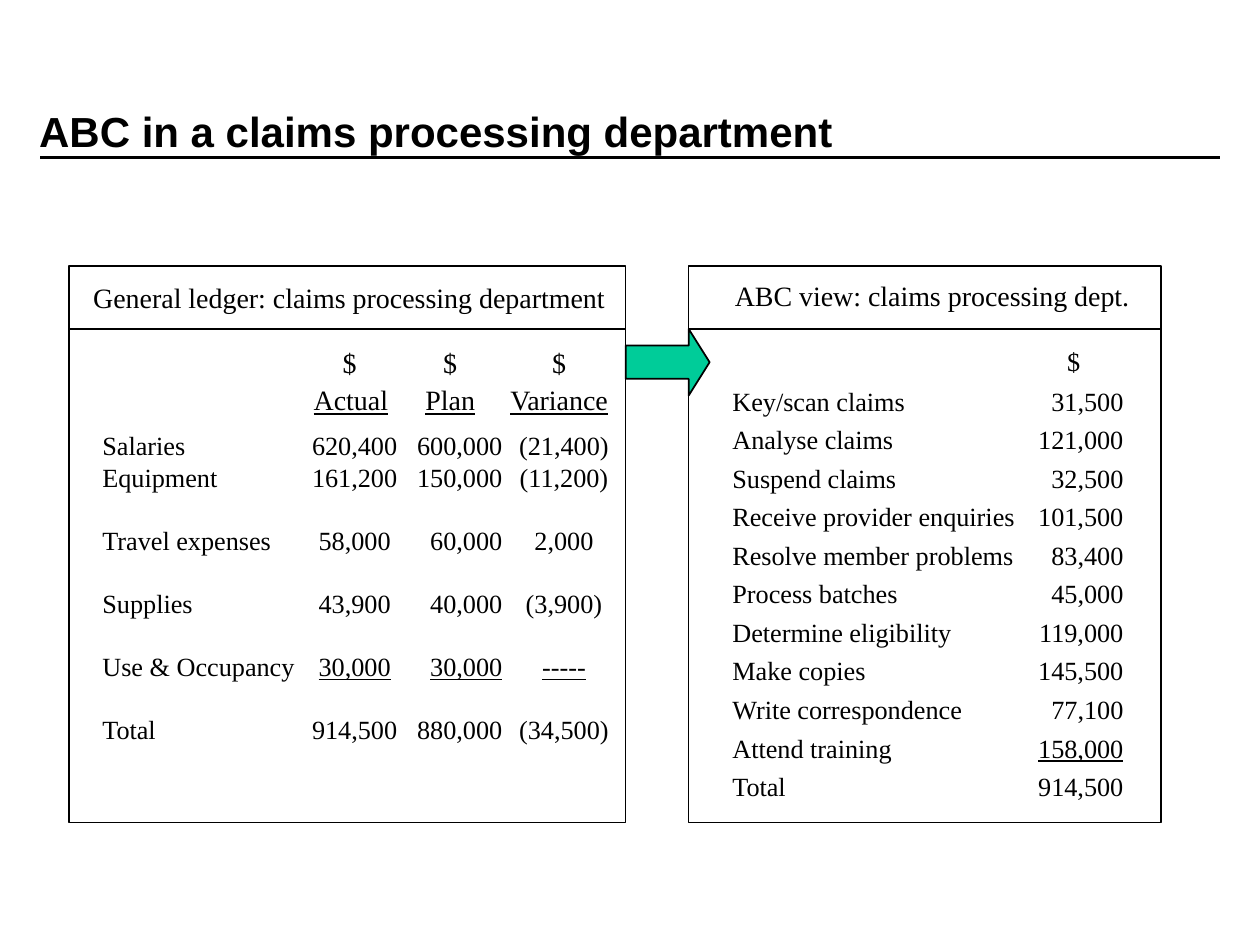
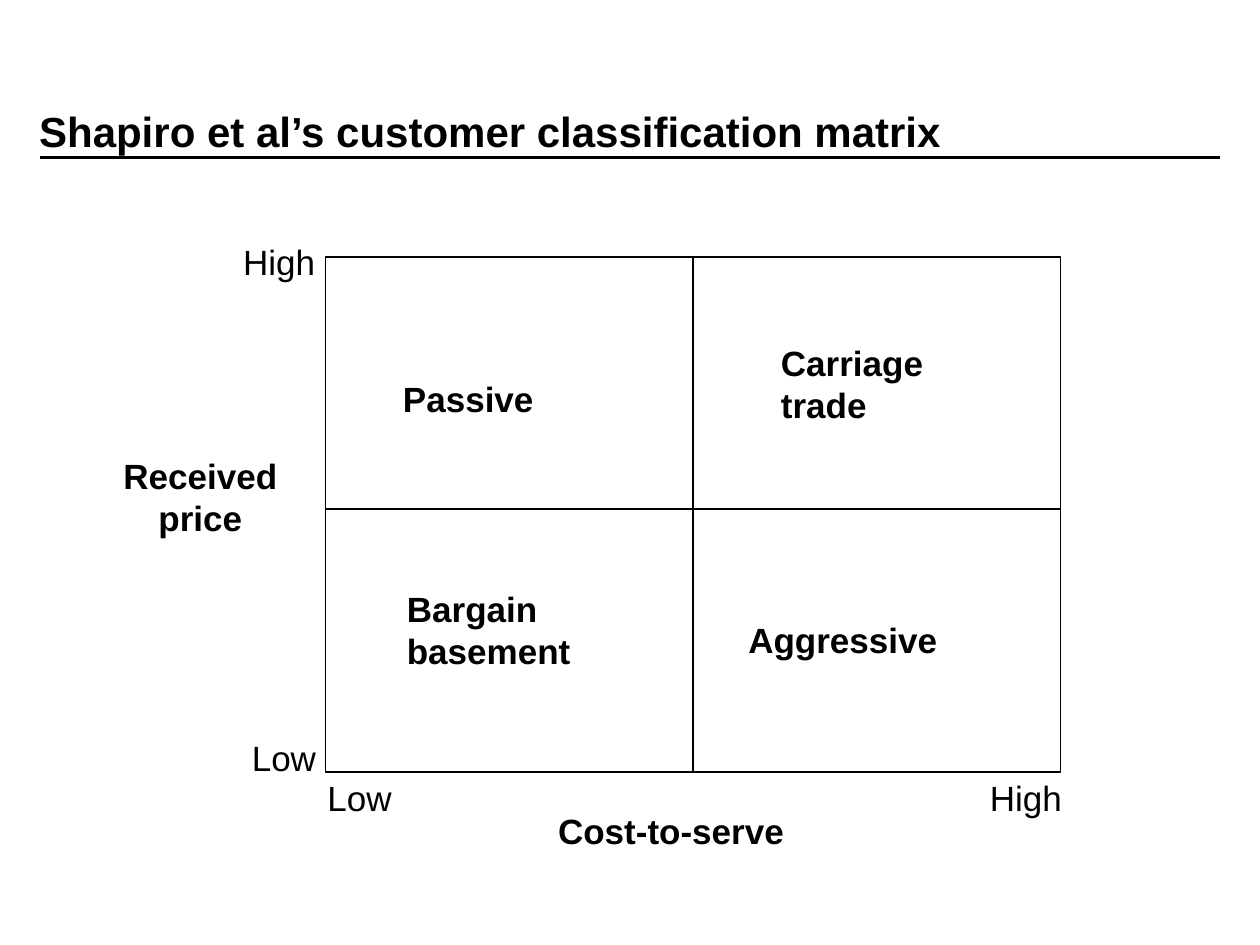
from pptx import Presentation
from pptx.dml.color import RGBColor as Rgb
from pptx.enum.shapes import MSO_CONNECTOR as Conn, MSO_SHAPE as Kind
from pptx.enum.text import MSO_ANCHOR as Anchor, MSO_AUTO_SIZE as Fit, PP_ALIGN as Align
from pptx.oxml.ns import qn
from pptx.util import Pt
from lxml.etree import SubElement as Sub

BLACK, GREEN = "000000", "00CC99"
SANS, SERIF = "Arial", "Times New Roman"
TOP, HEAD, TALL = 152, 36, 318

LEDGER = [
    ("Salaries", "620,400", "600,000", "(21,400)"),
    ("Equipment", "161,200", "150,000", "(11,200)"),
    ("Travel expenses", "58,000", "60,000", "2,000"),
    ("Supplies", "43,900", "40,000", "(3,900)"),
    ("Use & Occupancy", "_30,000", "_30,000", "_-----"),
    ("Total", "914,500", "880,000", "(34,500)"),
]
COSTS = [
    ("", "$"),
    ("Key/scan claims", "31,500"),
    ("Analyse claims", "121,000"),
    ("Suspend claims", "32,500"),
    ("Receive provider enquiries", "101,500"),
    ("Resolve member problems", "83,400"),
    ("Process batches", "45,000"),
    ("Determine eligibility", "119,000"),
    ("Make copies", "145,500"),
    ("Write correspondence", "77,100"),
    ("Attend training", "_158,000"),
    ("Total", "914,500"),
]


def color(code):
    return Rgb.from_string(code)


def add_text(slide, rows, x, y, w, h, size=20, font=SANS, bold=False,
             align=Align.LEFT, anchor=Anchor.TOP, wrap=False,
             tabs=(), lead=(), gaps=(), pitch=None):
    frame = slide.shapes.add_textbox(Pt(x), Pt(y), Pt(w), Pt(h)).text_frame
    frame.word_wrap = wrap
    frame.auto_size = Fit.NONE if wrap else Fit.SHAPE_TO_FIT_TEXT
    frame.vertical_anchor = anchor
    for i, row in enumerate(rows):
        para = frame.add_paragraph() if i else frame.paragraphs[0]
        para.alignment = align
        if gaps:
            para.space_before = Pt(gaps[i])
        if pitch and i:
            para.line_spacing = pitch
        set_tabs(para, tabs if i or not lead else lead)
        cells = (row,) if isinstance(row, str) else row
        for j, cell in enumerate(cells):
            if j:
                add_run(para, "\t", size, font, bold)
            if cell:
                add_run(para, cell.removeprefix("_"), size, font, bold,
                        cell.startswith("_"))


def set_tabs(para, tabs):
    if tabs:
        stops = Sub(para._p.get_or_add_pPr(), qn("a:tabLst"))
        for pos, side in tabs:
            Sub(stops, qn("a:tab"), pos=str(Pt(pos)), algn=side)


def add_run(para, text, size, font, bold, under=False):
    run = para.add_run()
    run.text = text
    run.font.size = Pt(size)
    run.font.name = font
    run.font.bold = bold
    run.font.underline = under
    run.font.color.rgb = color(BLACK)


def add_box(slide, x, y, w, h, kind=Kind.RECTANGLE, fill=None):
    box = slide.shapes.add_shape(kind, Pt(x), Pt(y), Pt(w), Pt(h))
    box.shadow.inherit = False
    if fill:
        box.fill.solid()
        box.fill.fore_color.rgb = color(fill)
    else:
        box.fill.background()
    box.line.color.rgb = color(BLACK)
    box.line.width = Pt(1)
    return box


def add_line(slide, x1, y1, x2, y2, width=1):
    line = slide.shapes.add_connector(Conn.STRAIGHT, Pt(x1), Pt(y1), Pt(x2), Pt(y2))
    line.line.color.rgb = color(BLACK)
    line.line.width = Pt(width)
    Sub(line._element.spPr, qn("a:effectLst"))
    return line


def add_page(deck, title):
    slide = deck.slides.add_slide(deck.slide_layouts[6])
    add_line(slide, 23, 90, 697, 90, 2)
    add_text(slide, [title], 15.3, 29.7, 612, 90, size=24, bold=True,
             anchor=Anchor.MIDDLE, wrap=True)
    return slide


def add_panel(slide, x, w, title, left, top, width):
    add_box(slide, x, TOP, w, TALL)
    add_line(slide, x, TOP + HEAD, x + w, TOP + HEAD)
    add_text(slide, [title], left, top, width, 26.6, size=16, font=SERIF)


def add_ledger(slide):
    add_panel(slide, 39.5, 318, "General ledger: claims processing department",
              46.2, 157, 307)
    add_text(slide, [("", "$", "$", "$"), ("", "_Actual", "_Plan", "_Variance")],
             172.2, 193.7, 185, 55, size=16, font=SERIF, wrap=True, gaps=(0, 2.2),
             tabs=[(20.5, "ctr"), (78, "ctr"), (140.2, "ctr")])
    add_text(slide, LEDGER, 51.4, 242, 306, 187, size=15, font=SERIF, wrap=True,
             gaps=(0, 0, 18, 18, 18, 18),
             tabs=[(144.2, "ctr"), (228.6, "r"), (263.8, "ctr")])


def add_view(slide):
    add_panel(slide, 393.4, 270, "ABC view: claims processing dept.",
              412.8, 155.6, 240)
    add_text(slide, COSTS, 411.4, 193.9, 257.8, 267, size=15, font=SERIF,
             wrap=True, gaps=[9.4] * len(COSTS), pitch=0.7,
             lead=[(195, "ctr")], tabs=[(223.5, "r")])


def add_matrix(slide):
    x, y, w, h = 186, 147, 420, 294
    grid = add_box(slide, x, y, w, h)
    split = add_line(slide, x + w / 2, y, x + w / 2, y + h)
    split.begin_connect(grid, 0)
    split.end_connect(grid, 2)
    add_line(slide, x, 291, x + w, 291)
    for rows, left, top, width in [
        (["Carriage", "trade"], 439.2, 191.5, 100),
        (["Passive"], 223.2, 212, 94),
        (["Bargain", "basement"], 225.4, 332, 112),
        (["Aggressive"], 420.5, 350, 126),
        (["Cost-to-serve"], 311.8, 459.2, 150),
    ]:
        add_text(slide, rows, left, top, width, 8 + 24 * len(rows),
                 bold=True, wrap=True)
    add_text(slide, ["Received", "price"], 61.5, 256.3, 106, 55.4, bold=True,
             align=Align.CENTER, wrap=True)
    for word, left, top in [
        ("High", 131.8, 134), ("High", 558.5, 440),
        ("Low", 136.8, 417.2), ("Low", 180, 440),
    ]:
        add_text(slide, [word], left, top, 60, 31.7, wrap=True)


def main():
    deck = Presentation()
    deck.slide_width, deck.slide_height = Pt(720), Pt(540)
    costs = add_page(deck, "ABC in a claims processing department")
    add_ledger(costs)
    add_view(costs)
    arrow = add_box(costs, 357.5, TOP + HEAD, 48, 38, Kind.RIGHT_ARROW, GREEN)
    arrow.adjustments[0], arrow.adjustments[1] = 0.5, 0.314
    add_matrix(add_page(deck, "Shapiro et al’s customer classification matrix"))
    deck.save("out.pptx")


if __name__ == "__main__":
    main()
